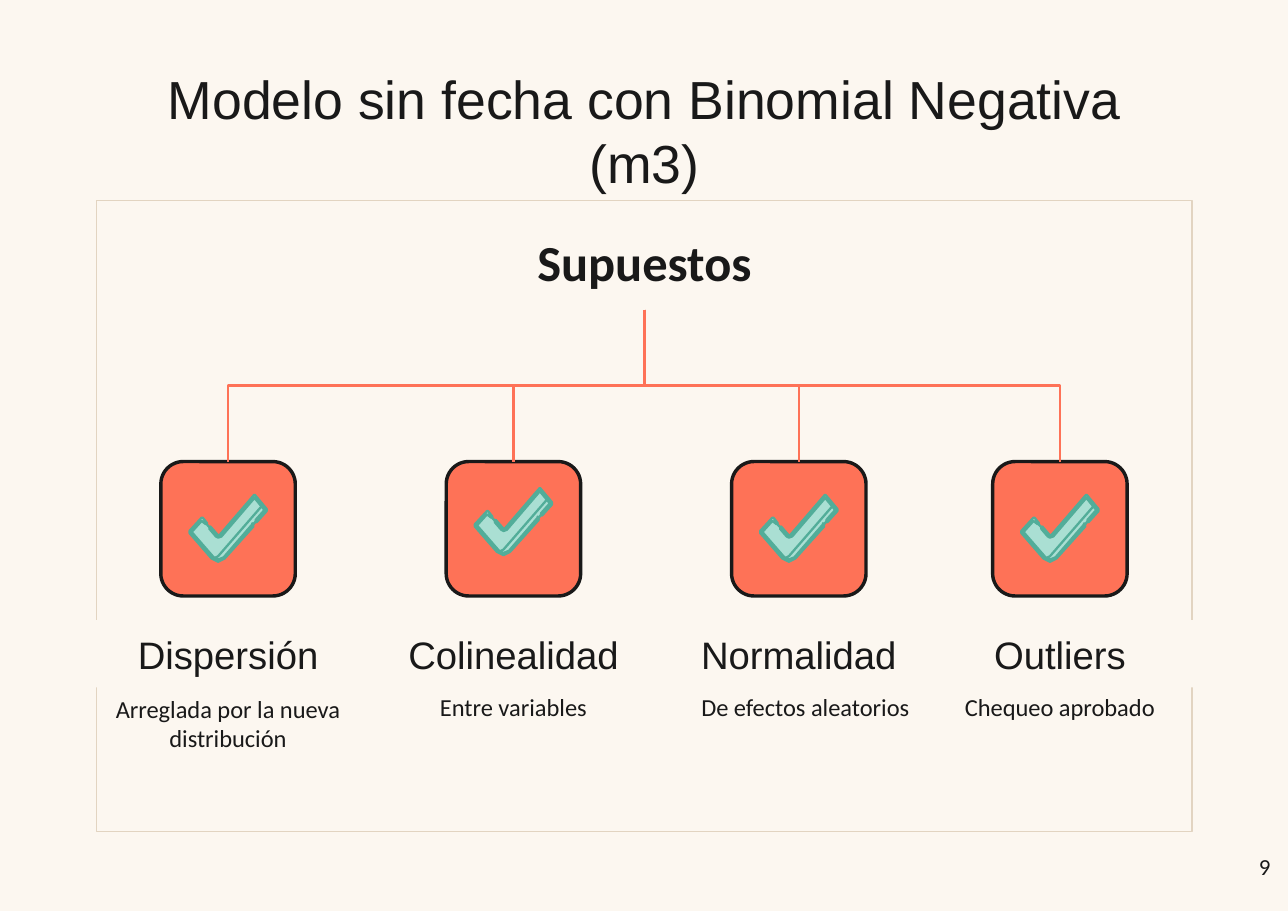
from lxml import etree
from pptx import Presentation
from pptx.dml.color import RGBColor
from pptx.enum.shapes import MSO_CONNECTOR, MSO_SHAPE
from pptx.enum.text import MSO_ANCHOR, PP_ALIGN
from pptx.oxml.ns import qn
from pptx.util import Inches, Pt

ELBOW = MSO_CONNECTOR.ELBOW
RECT, ROUNDED = MSO_SHAPE.RECTANGLE, MSO_SHAPE.ROUNDED_RECTANGLE
TOP, MIDDLE = MSO_ANCHOR.TOP, MSO_ANCHOR.MIDDLE
CENTER, RIGHT = PP_ALIGN.CENTER, PP_ALIGN.RIGHT

CHECK_OUTLINES = [
    [(85, 32), (54, 67), (52, 68), (51, 67), (37, 52), (27, 64), (47, 87),
     (52, 90), (58, 87), (95, 44)],
    [(92, 40), (52, 86), (48, 88), (52, 90), (58, 87), (95, 44)],
    [(37, 51), (26, 63), (26, 65), (46, 88), (52, 91), (58, 88), (84, 59),
     (83, 56), (83, 57), (57, 87), (52, 89), (48, 87), (28, 64), (37, 54),
     (41, 57), (42, 56), (38, 51)],
    [(85, 30), (84, 31), (53, 67), (52, 67), (45, 59), (44, 61), (50, 68),
     (52, 69), (55, 68), (85, 33), (94, 44), (86, 53), (87, 55), (96, 45),
     (96, 43), (86, 31)],
]


def color(value):
    return RGBColor.from_string(value)


class Deck:
    background, ink, coral = "FCF7F0", "191919", "FE7257"
    frame, mint, green = "E2D4C1", "AADFD3", "52AD99"
    heading_font, body_font = "Arial", "Calibri"

    def __init__(self, width, height):
        self.prs = Presentation()
        self.prs.slide_width, self.prs.slide_height = Inches(width), Inches(height)
        self.slide = self.prs.slides.add_slide(self.prs.slide_layouts[6])
        fill = self.slide.background.fill
        fill.solid()
        fill.fore_color.rgb = color(self.background)

    def paint(self, sp, fill, line, weight):
        sp.shadow.inherit = False
        sp.fill.solid()
        sp.fill.fore_color.rgb = color(fill)
        sp.line.color.rgb = color(line)
        sp.line.width = Pt(weight)

    def box(self, kind, x, y, w, h, fill, line, weight):
        sp = self.slide.shapes.add_shape(kind, Inches(x), Inches(y), Inches(w), Inches(h))
        self.paint(sp, fill, line, weight)

    def text(self, words, x, y, w, h, size, font, anchor=TOP, align=CENTER,
             inset=0.1, fill=None, bold=False, after=0):
        sp = self.slide.shapes.add_textbox(Inches(x), Inches(y), Inches(w), Inches(h))
        if fill:
            sp.fill.solid()
            sp.fill.fore_color.rgb = color(fill)
        tf = sp.text_frame
        tf.word_wrap = True
        tf.vertical_anchor = anchor
        tf.margin_left = tf.margin_right = Inches(inset)
        tf.margin_top = tf.margin_bottom = Inches(inset)
        p = tf.paragraphs[0]
        p.alignment = align
        p.space_after = Pt(after)
        r = p.add_run()
        r.text = words
        r.font.name = font
        r.font.size = Pt(size)
        r.font.bold = bold
        r.font.color.rgb = color(self.ink)

    def branch(self, x1, y1, x2, y2):
        drop, span = y2 - y1, abs(x2 - x1)
        left = (x1 + x2 - drop) / 2
        top = (y1 + y2 - span) / 2
        start, end = left, left + drop
        if x2 > x1:
            start, end = end, start
        line = self.slide.shapes.add_connector(
            ELBOW, Inches(start), Inches(top), Inches(end), Inches(top + span))
        line.rotation = 270 if x2 > x1 else 90
        line.line.color.rgb = color(self.coral)
        line.line.width = Pt(1.5)
        etree.SubElement(line._element.spPr, qn("a:effectLst"))

    def check(self, x, y):
        group = self.slide.shapes.add_group_shape()
        for start, *points in CHECK_OUTLINES:
            builder = group.shapes.build_freeform(*start, scale=Inches(0.01))
            builder.add_line_segments(points, close=True)
            sp = builder.convert_to_shape(Inches(x), Inches(y))
            self.paint(sp, self.mint, self.green, 1.5)


def main():
    deck = Deck(11.69, 8.27)
    tile_top, tile_size, text_width = 4.19, 1.22, 2.74
    root_x, root_y = 5.85, 2.81
    assumptions = [
        ("Dispersión", "Arreglada por la nueva distribución", 2.07, 0, 6.2, 0),
        ("Colinealidad", "Entre variables", 4.66, 0, 6.18, -0.06),
        ("Normalidad", "De efectos aleatorios", 7.25, 0.06, 6.18, 0),
        ("Outliers", "Chequeo aprobado", 9.62, 0, 6.18, 0),
    ]

    deck.box(RECT, 0.88, 1.82, 9.94, 5.73, deck.background, deck.frame, 0.75)
    deck.text("Modelo sin fecha con Binomial Negativa (m3)", 0.88, 0.72, 9.94, 0.92,
              35, deck.heading_font, anchor=MIDDLE, fill=deck.background)
    deck.text("Supuestos", 3.13, 1.94, 5.44, 0.87, 33, deck.body_font,
              anchor=MIDDLE, inset=0.08, bold=True)

    for name, note, center, note_shift, note_top, check_shift in assumptions:
        tile_left = center - tile_size / 2
        text_left = center - text_width / 2
        deck.box(ROUNDED, tile_left, tile_top, tile_size, tile_size,
                 deck.coral, deck.ink, 2.25)
        deck.text(name, text_left, 5.63, text_width, 0.61, 25, deck.heading_font,
                  fill=deck.background)
        deck.text(note, text_left + note_shift, note_top, text_width, 0.87, 16,
                  deck.body_font, after=16)
        deck.branch(root_x, root_y, center, tile_top)
        deck.check(tile_left, tile_top + check_shift)

    deck.text("9", 10.94, 7.63, 0.7, 0.63, 15, deck.body_font, align=RIGHT, inset=0.11)
    deck.prs.save("out.pptx")


if __name__ == "__main__":
    main()
